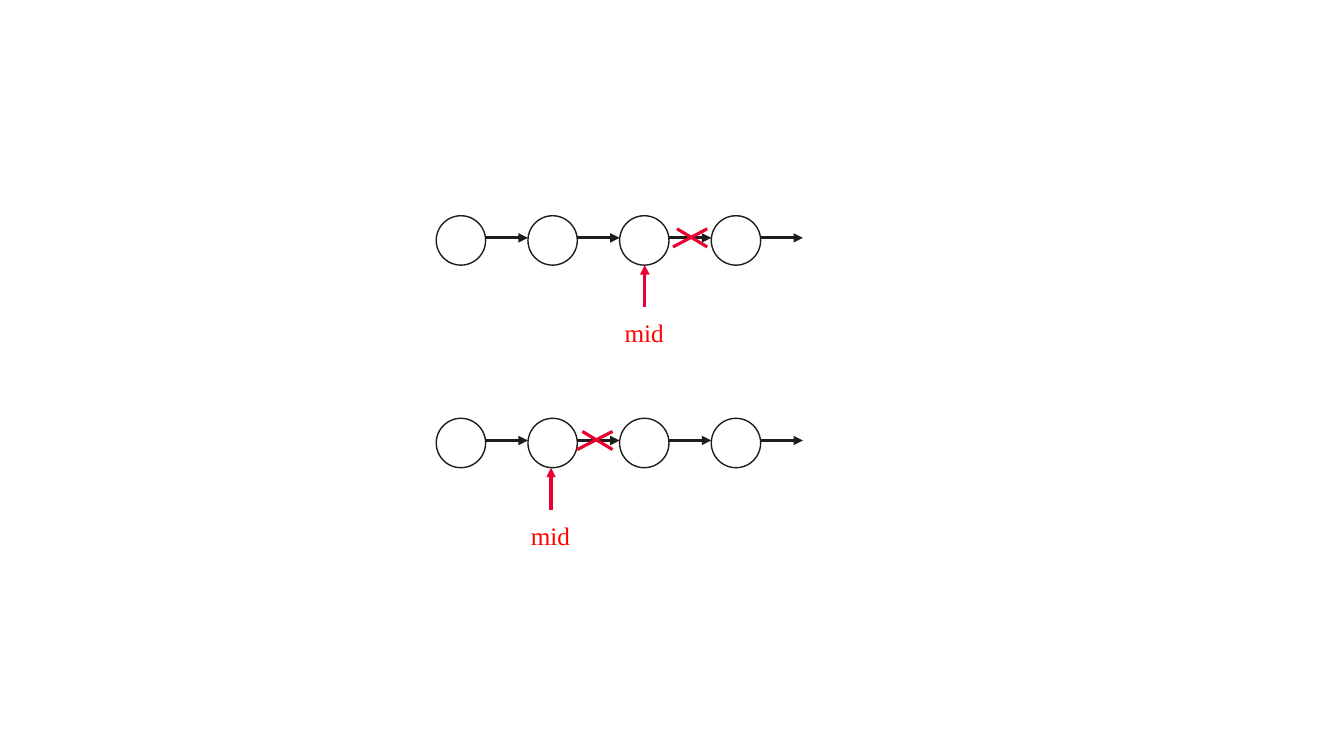
"""Two linked lists, each cut after its mid node."""
from pptx import Presentation, util as u
from pptx.dml.color import RGBColor
from pptx.enum import shapes, text
from pptx.oxml.ns import qn
from lxml import etree

COLOURS = {"ink": "1D1D1A", "cut": "E9002F", "label": "FF0000"}
FIRST_X, PITCH, SIZE, NODES = 4.33, 0.91, 0.49, 4


def add_line(parent, start, end, colour, arrow=True):
    ends = [u.Inches(value) for value in (*start, *end)]
    line = parent.add_connector(shapes.MSO_CONNECTOR.STRAIGHT, *ends)
    line.line.color.rgb = RGBColor.from_string(COLOURS[colour])
    line.line.width = u.Pt(2.25)
    if arrow:
        etree.SubElement(line.line._get_or_add_ln(), qn("a:tailEnd"), type="triangle")
    etree.SubElement(line._element.spPr, qn("a:effectLst"))


deck = Presentation()
deck.slide_width, deck.slide_height = u.Inches(13.34), u.Inches(7.5)
slide = deck.slides.add_slide(deck.slide_layouts[6])

for top, mid_x, cut_left, cut_right in [(2.14, 6.4, 6.68, 7.02), (4.15, 5.47, 5.73, 6.08)]:
    node_lefts = [FIRST_X + PITCH * i for i in range(NODES)]
    for left in node_lefts:
        node = slide.shapes.add_shape(
            shapes.MSO_SHAPE.OVAL, u.Inches(left), u.Inches(top), u.Inches(SIZE), u.Inches(SIZE))
        node.shadow.inherit = False
        node.fill.background()
        node.line.color.rgb = RGBColor.from_string(COLOURS["ink"])
        node.line.width = u.Pt(1)

    link_y = top + 0.22
    for left in node_lefts:
        add_line(slide.shapes, (left + SIZE, link_y), (left + PITCH, link_y), "ink")

    add_line(slide.shapes, (mid_x, top + 0.91), (mid_x, top + SIZE), "cut")

    mid_label = slide.shapes.add_textbox(
        u.Inches(mid_x - 0.2), u.Inches(top + 1.01), u.Inches(0.39), u.Inches(0.3))
    frame = mid_label.text_frame
    frame_format = {"margin_left": 0, "margin_right": 0, "margin_top": 0, "margin_bottom": 0,
                    "word_wrap": False, "auto_size": text.MSO_AUTO_SIZE.SHAPE_TO_FIT_TEXT}
    for name, value in frame_format.items():
        setattr(frame, name, value)
    mid_word = frame.paragraphs[0].add_run()
    mid_word.text = "mid"
    mid_word.font.name = "Times New Roman"
    mid_word.font.size = u.Pt(18)
    mid_word.font.color.rgb = RGBColor.from_string(COLOURS["label"])

    cross = slide.shapes.add_group_shape()
    cross_top, cross_bottom = top + 0.13, top + 0.31
    add_line(cross.shapes, (cut_left, cross_bottom), (cut_right, cross_top), "cut", arrow=False)
    add_line(cross.shapes, (cut_right - 0.3, cross_top), (cut_right, cross_bottom), "cut", arrow=False)

deck.save("out.pptx")
